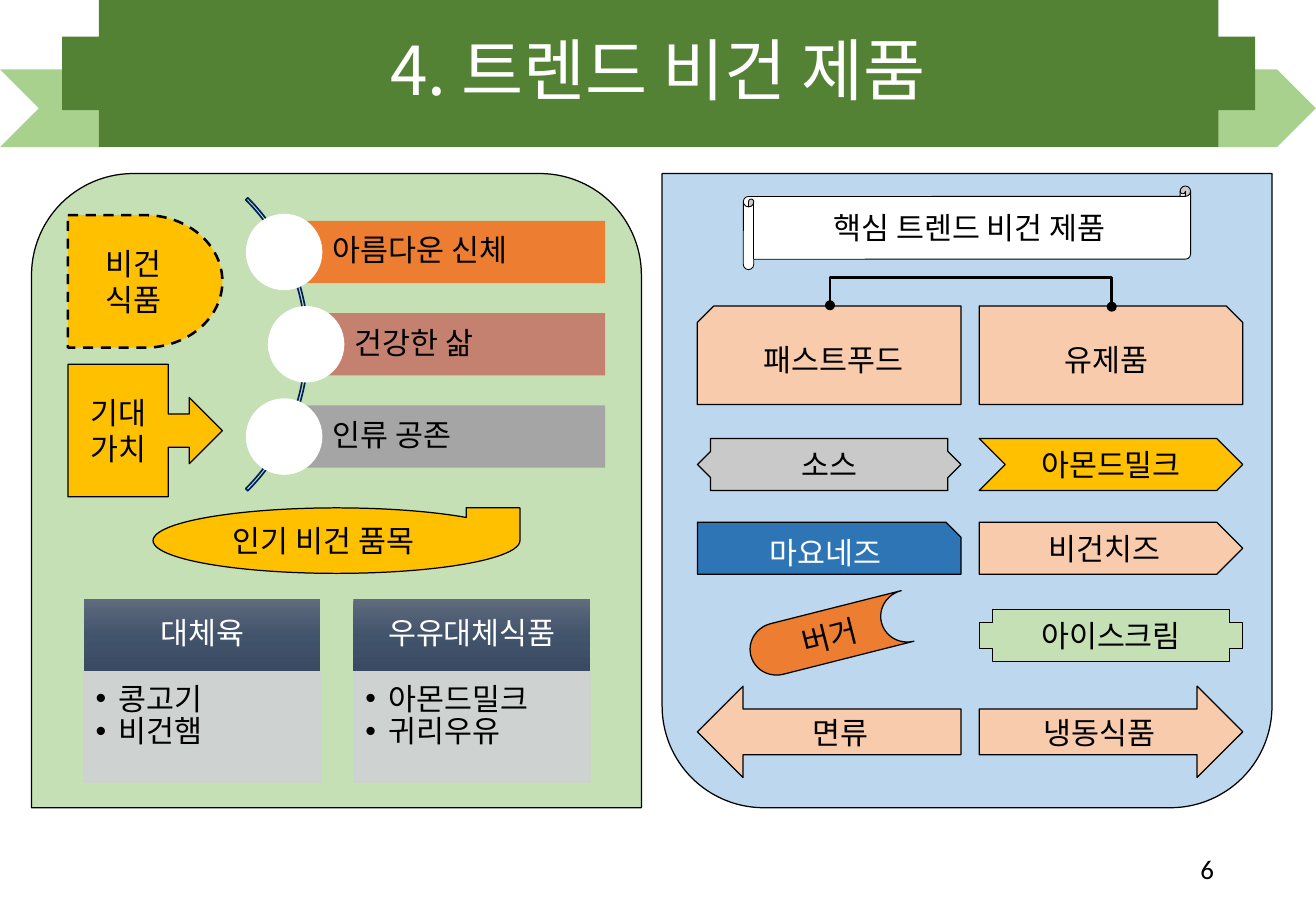
from copy import deepcopy
from dataclasses import dataclass

from pptx import Presentation
from pptx.dml.color import RGBColor
from pptx.enum.dml import MSO_LINE
from pptx.enum.shapes import MSO_CONNECTOR, MSO_SHAPE as Preset
from pptx.enum.text import MSO_ANCHOR as Anchor, MSO_AUTO_SIZE as AutoSize, PP_ALIGN as Align
from pptx.oxml.ns import qn
from pptx.oxml.xmlchemy import OxmlElement
from pptx.util import Cm, Pt


@dataclass(frozen=True)
class Theme:
    font: str = "Noto Sans CJK KR"
    number_font: str = "Calibri"
    title_size: int = 40
    text_size: int = 18
    number_size: int = 16
    black: str = "000000"
    white: str = "FFFFFF"
    dark_green: str = "548235"
    ribbon_green: str = "A9D18E"
    light_green: str = "C5E0B4"
    light_blue: str = "BDD7EE"
    gold: str = "FFC000"
    peach: str = "F8CBAD"
    orange: str = "ED7D31"
    rust: str = "C48170"
    gray: str = "A5A5A5"
    silver: str = "C9C9C9"
    blue: str = "2E75B6"
    navy: str = "002060"
    card: str = "CFD1D4"
    header: tuple = ("606B7D", "42546C", "394A62")


theme = Theme()

# Content
TITLE = "4. 트렌드 비건 제품"
PAGE_NUMBER = "6"
FOOD_LABEL = ["비건", "식품"]
VALUE_LABEL = ["기대", "가치"]
POPULAR_LABEL = "인기 비건 품목"
TREND_LABEL = "핵심 트렌드 비건 제품"
VALUES = [  # text, fill, left edge
    ("아름다운 신체", theme.orange, 5.94),
    ("건강한 삶", theme.rust, 6.4),
    ("인류 공존", theme.gray, 5.94),
]
CARDS = [("대체육", ["콩고기", "비건햄"]), ("우유대체식품", ["아몬드밀크", "귀리우유"])]
PRODUCT_ROWS = [  # top, height, then (text, preset, fill) for each column
    (6.4, 2.06, [("패스트푸드", Preset.SNIP_1_RECTANGLE, theme.peach),
                 ("유제품", Preset.SNIP_1_RECTANGLE, theme.peach)]),
    (9.17, 1.09, [("소스", Preset.LEFT_RIGHT_ARROW_CALLOUT, theme.silver),
                  ("아몬드밀크", Preset.CHEVRON, theme.gold)]),
    (10.92, 1.09, [("마요네즈", Preset.SNIP_1_RECTANGLE, theme.blue),
                   ("비건치즈", Preset.PENTAGON, theme.peach)]),
    (12.75, 1.09, [("버거", Preset.FLOWCHART_STORED_DATA, theme.orange),
                   ("아이스크림", Preset.CROSS, theme.light_green)]),
    (14.35, 1.91, [("면류", Preset.RIGHT_ARROW, theme.peach),
                   ("냉동식품", Preset.RIGHT_ARROW, theme.peach)]),
]
FLIPPED = {"패스트푸드", "면류"}
ADJUSTED = {"소스": [0.5, 0.25, 0.25, 0.9], "마요네즈": [0.29]}

# Layout, in centimetres
PAGE_WIDTH, PAGE_HEIGHT = 27.51, 19.05
BANNER_HEIGHT = 3.07
PANEL_TOP, PANEL_WIDTH, PANEL_HEIGHT = 3.63, 12.75, 13.26
VALUE_TOP, VALUE_STEP, VALUE_HEIGHT, VALUE_RIGHT, DOT = 4.62, 1.93, 1.3, 12.65, 1.6
CARD_LEFT, CARD_STEP, CARD_WIDTH = 1.75, 5.64, 4.95
PRODUCT_LEFT, PRODUCT_STEP, PRODUCT_WIDTH, BURGER_WIDTH = 14.58, 5.89, 5.51, 3.38

deck = Presentation()
deck.slide_width, deck.slide_height = Cm(PAGE_WIDTH), Cm(PAGE_HEIGHT)
page = deck.slides.add_slide(deck.slide_layouts.get_by_name("Two Content"))
title, *list_boxes = page.placeholders


def rgb(color):
    return RGBColor.from_string(color)


def write(box, lines, color=theme.black, size=theme.text_size, font=theme.font,
          align=Align.CENTER, anchor=Anchor.MIDDLE, insets=None, spacing=None, bullets=False):
    frame = box.text_frame
    frame.word_wrap, frame.vertical_anchor = True, anchor
    if insets:
        (frame.margin_left, frame.margin_top,
         frame.margin_right, frame.margin_bottom) = map(Cm, insets)
    for index, line in enumerate(lines):
        para = frame.add_paragraph() if index else frame.paragraphs[0]
        if bullets:
            para.level = 1
            properties = para._p.get_or_add_pPr()
            properties.set("marL", str(Cm(0.48)))
            properties.set("indent", str(-Cm(0.48)))
            bullet = OxmlElement("a:buChar")
            bullet.set("char", "•")
            properties.append(bullet)
            para.space_before = Pt(0)
        para.alignment = align
        if spacing:
            para.line_spacing = spacing
        span = para.add_run()
        span.text = line
        span.font.name, span.font.size = font, Pt(size)
        span.font.color.rgb = rgb(color)
        east_asian = OxmlElement("a:ea")
        east_asian.set("typeface", font)
        span._r.rPr.find(qn("a:latin")).addnext(east_asian)


def place(box, left, top, width, height):
    box.left, box.top, box.width, box.height = map(Cm, (left, top, width, height))
    page.shapes._spTree.append(box._element)  # bring to front


def add(preset, left, top, width, height, fill=None, line=theme.black, weight=0.75):
    box = page.shapes.add_shape(preset, *map(Cm, (left, top, width, height)))
    box.shadow.inherit = False
    if fill:
        box.fill.solid()
        box.fill.fore_color.rgb = rgb(fill)
    else:
        box.fill.background()
    if line:
        box.line.color.rgb, box.line.width = rgb(line), Pt(weight)
    else:
        box.line.fill.background()
    return box


def adjust(box, values):
    for index, value in enumerate(values):
        box.adjustments[index] = value


def set_alpha(fill, percent):
    alpha = OxmlElement("a:alpha")
    alpha.set("val", str(percent * 1000))
    fill._xPr.find(qn("a:solidFill"))[0].append(alpha)


# Title banner
add(Preset.CHEVRON, 0, 1.45, PAGE_WIDTH, 1.63, theme.ribbon_green, None)
add(Preset.CROSS, 1.3, 0, 24.94, BANNER_HEIGHT, theme.dark_green, None)
place(title, 0, 0, PAGE_WIDTH, BANNER_HEIGHT)
write(title, [TITLE], theme.white, theme.title_size, spacing=0.9)

# Panels
add(Preset.ROUND_2_SAME_RECTANGLE, 0.66, PANEL_TOP, PANEL_WIDTH, PANEL_HEIGHT, theme.light_green)
right_panel = add(Preset.ROUND_2_SAME_RECTANGLE, 13.84, PANEL_TOP, PANEL_WIDTH, PANEL_HEIGHT,
                  theme.light_blue)
right_panel.rotation = 180

# Labels of the left panel
food = add(Preset.FLOWCHART_DELAY, 1.42, 4.5, 3.23, 2.77, theme.gold, weight=1.5)
food.line.dash_style = MSO_LINE.DASH
write(food, FOOD_LABEL)
write(add(Preset.RIGHT_ARROW_CALLOUT, 1.42, 7.62, 3.23, 2.77, theme.gold), VALUE_LABEL)
tape = add(Preset.FLOWCHART_SEQUENTIAL_ACCESS_STORAGE, 6.35, 7.47, 1.37, 7.67, theme.gold)
tape.rotation = 270
popular = page.shapes.add_textbox(Cm(4.62), Cm(10.8), Cm(4.83), Cm(1.02))
write(popular, [POPULAR_LABEL], align=Align.LEFT, anchor=Anchor.TOP)
popular.text_frame.word_wrap = False
popular.text_frame.auto_size = AutoSize.SHAPE_TO_FIT_TEXT

# Expected values along an arc
arc = add(Preset.BLOCK_ARC, -2.21, 2.87, 8.66, 8.66, line=theme.navy, weight=1)
adjust(arc, [189, 27, 0.007])
for index, (text, color, left) in enumerate(VALUES):
    top = VALUE_TOP + index * VALUE_STEP
    bar = add(Preset.RECTANGLE, left, top, VALUE_RIGHT - left, VALUE_HEIGHT, color, None)
    write(bar, [text], align=Align.LEFT, insets=(1.02, 0.13, 0.13, 0.13), spacing=0.9)
    add(Preset.OVAL, left - DOT / 2, top + (VALUE_HEIGHT - DOT) / 2, DOT, DOT, theme.white, None)

# Popular item cards
for index, ((heading, items), list_box) in enumerate(zip(CARDS, list_boxes)):
    left = CARD_LEFT + index * CARD_STEP
    header = add(Preset.RECTANGLE, left, 12.52, CARD_WIDTH, 1.52, line=None)
    header.fill.gradient()
    header.fill.gradient_angle = 270
    stop_list = header._element.spPr.find(qn("a:gradFill")).find(qn("a:gsLst"))
    stop_list.insert(1, deepcopy(stop_list[0]))
    for stop, color, position in zip(header.fill.gradient_stops, theme.header, (0, 0.5, 1)):
        stop.color.rgb, stop.position = rgb(color), position
    write(header, [heading], theme.white, insets=(0.36, 0.2, 0.36, 0.2), spacing=0.9)

    place(list_box, left, 14.05, CARD_WIDTH, 2.31)
    list_box.line.color.rgb, list_box.line.width = rgb(theme.card), Pt(0.5)
    list_box.fill.solid()
    list_box.fill.fore_color.rgb = rgb(theme.card)
    for fill in (list_box.fill, list_box.line.fill):
        set_alpha(fill, 90)
    list_box.text_frame.auto_size = AutoSize.NONE
    write(list_box, items, align=Align.LEFT, anchor=Anchor.TOP,
          insets=(0.25, 0.25, 0.36, 0.41), spacing=0.9, bullets=True)

# Trend products
scroll = add(Preset.HORIZONTAL_SCROLL, 15.54, 3.89, 9.35, 1.75, theme.white, weight=0.5)
write(scroll, [TREND_LABEL])
for top, height, products in PRODUCT_ROWS:
    for column, (text, preset, color) in enumerate(products):
        left = PRODUCT_LEFT + column * PRODUCT_STEP
        tilted = preset == Preset.FLOWCHART_STORED_DATA
        width = BURGER_WIDTH if tilted else PRODUCT_WIDTH
        product = add(preset, left + (PRODUCT_WIDTH - width) / 2, top, width, height, color)
        adjust(product, ADJUSTED.get(text, []))
        if tilted:
            product.rotation = 345.8
        if text in FLIPPED:
            product._element.spPr.xfrm.set("flipH", "1")
        write(product, [text], theme.white if color == theme.blue else theme.black)

# Bracket joining the two product groups: an elbow turned a quarter to the left
SPAN, THICKNESS, RISE = PRODUCT_STEP, 0.03, 0.61
middle = PRODUCT_LEFT + (PRODUCT_STEP + PRODUCT_WIDTH) / 2
bracket = page.shapes.add_connector(
    MSO_CONNECTOR.ELBOW, Cm(middle), Cm(6.4 - SPAN / 2),
    Cm(middle + THICKNESS), Cm(6.4 + SPAN / 2))
bracket.line.color.rgb, bracket.line.width = rgb(theme.black), Pt(1.5)
properties = bracket._element.spPr
properties.xfrm.set("rot", str(270 * 60000))
properties.xfrm.set("flipV", "1")
guide = OxmlElement("a:gd")
guide.set("name", "adj1")
guide.set("fmla", f"val {round(RISE / THICKNESS * 100000)}")
properties.find(qn("a:prstGeom")).get_or_add_avLst().append(guide)
for tag in ("a:headEnd", "a:tailEnd"):
    end = OxmlElement(tag)
    end.set("type", "oval")
    bracket.line._get_or_add_ln().append(end)
properties.append(OxmlElement("a:effectLst"))

# Page number
number = page.shapes.add_textbox(Cm(19.43), Cm(17.65), Cm(6.2), Cm(1.02))
write(number, [PAGE_NUMBER], size=theme.number_size, font=theme.number_font, align=Align.RIGHT)

deck.save("out.pptx")
